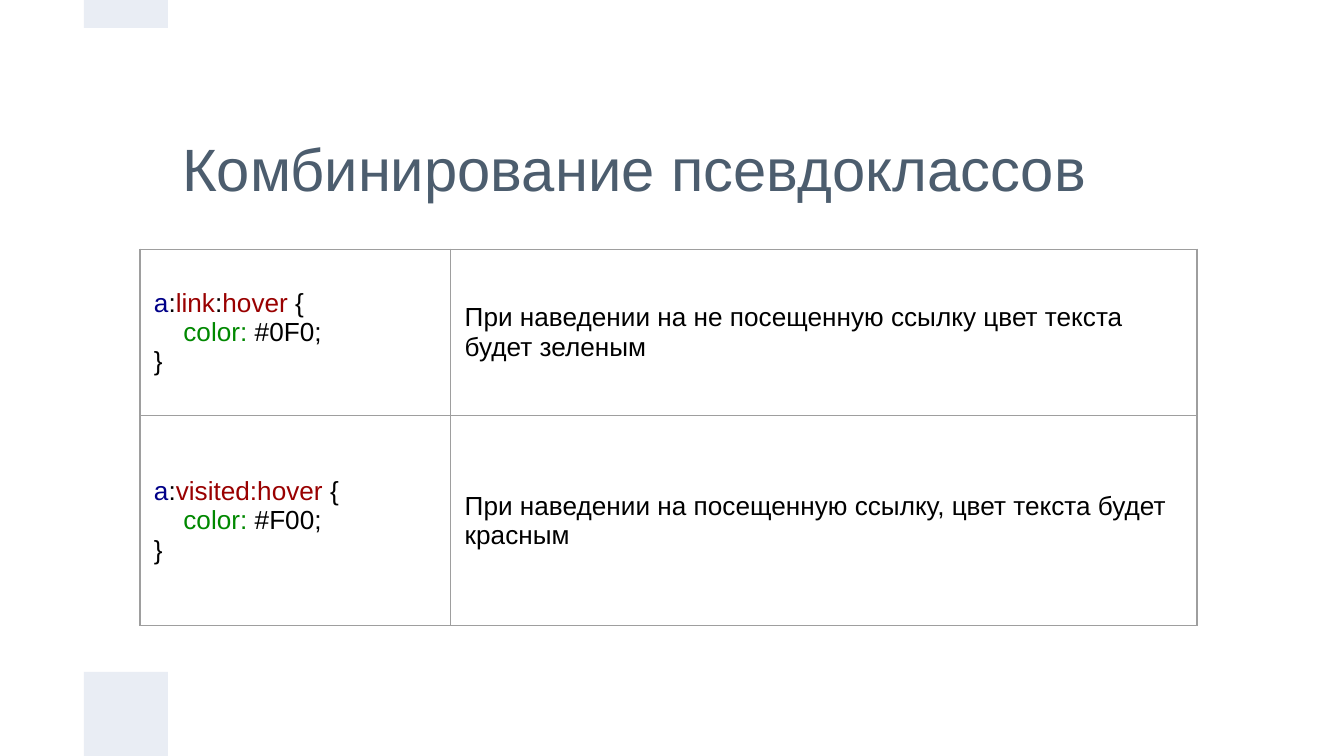
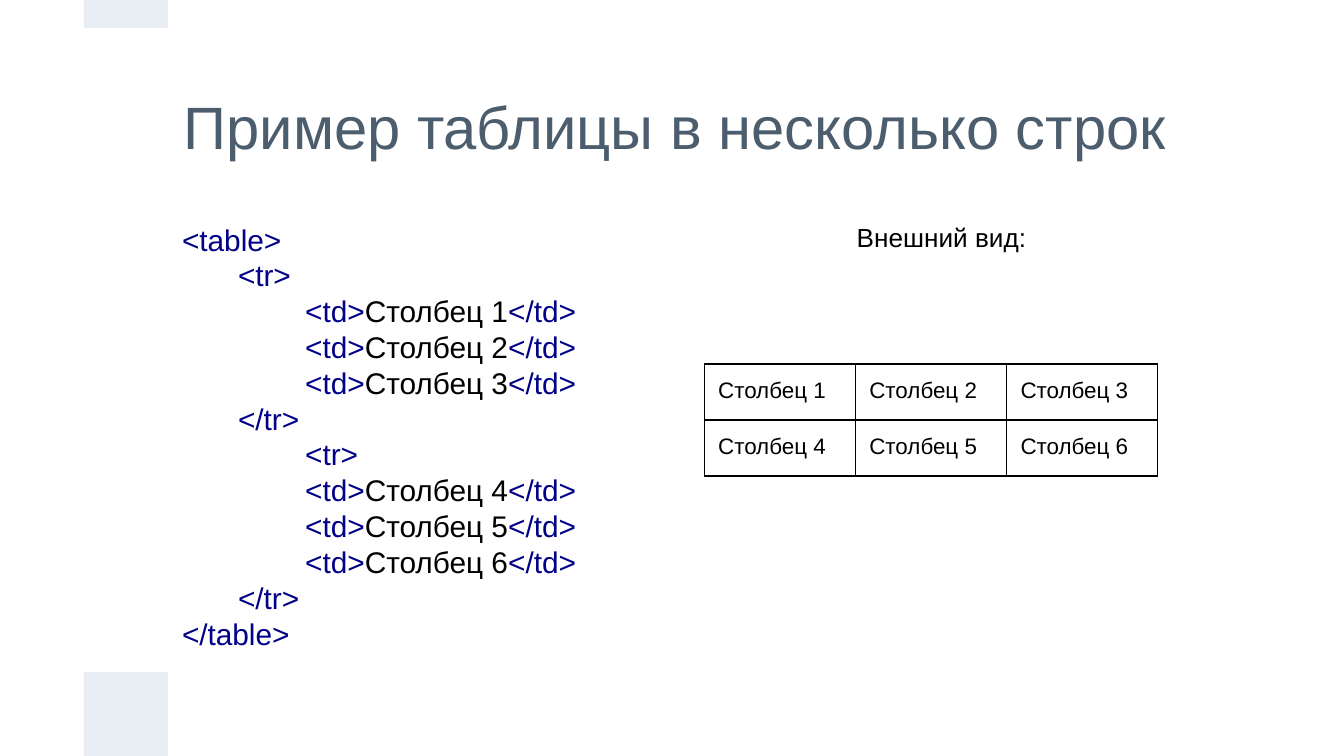
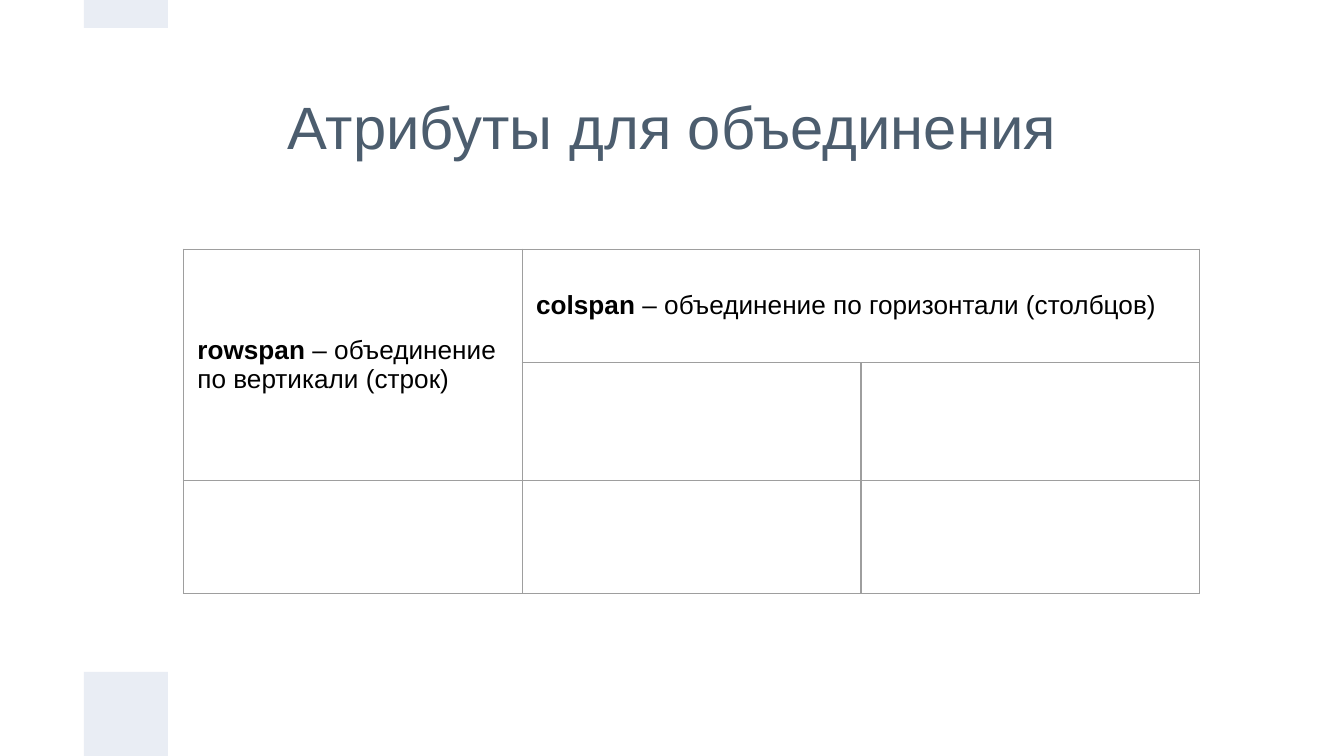
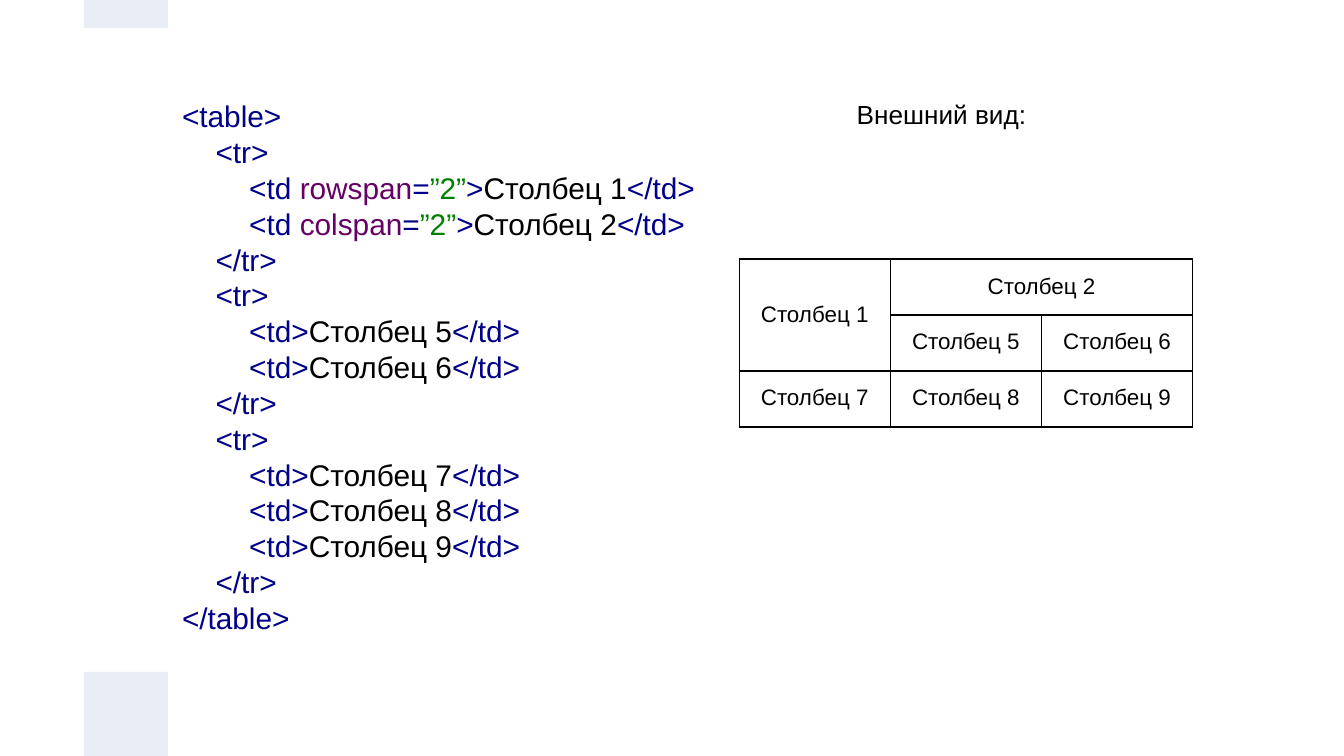
from dataclasses import dataclass

from lxml import etree
from pptx import Presentation
from pptx.dml.color import RGBColor
from pptx.enum import shapes, text
from pptx.oxml import ns
from pptx.util import Emu, Pt

PX = 9525
LEFT, CENTER = text.PP_ALIGN.LEFT, text.PP_ALIGN.CENTER
TOP, MIDDLE = text.MSO_ANCHOR.TOP, text.MSO_ANCHOR.MIDDLE


@dataclass(frozen=True)
class Theme:
    font: str = "Arial"
    heading: str = "4C5D6E"
    band: str = "E9EDF4"
    ink: str = "000000"
    tag: str = "000088"
    pseudo: str = "990000"
    prop: str = "008800"
    attribute: str = "660066"
    value: str = "008000"
    rule: str = "9E9E9E"
    title_size: int = 32
    code_size: int = 16
    text_size: int = 14
    small_size: int = 12
    code_pitch: float = 19.2
    rule_width: float = 0.75
    inset: int = 10


THEME = Theme()


@dataclass
class Span:
    text: str
    color: str = THEME.ink
    bold: bool = False


@dataclass
class Line:
    spans: list
    indent: int = 0


def px(length):
    return Emu(length * PX)


def tag(name, indent=0):
    return Line([Span(name, THEME.tag)], indent)


def cell_tag(label, indent, attribute=None):
    opening = [Span("<td>", THEME.tag)]
    if attribute:
        opening = [Span("<td ", THEME.tag), Span(attribute, THEME.attribute),
                   Span("=", THEME.tag), Span("”2”", THEME.value), Span(">", THEME.tag)]
    return Line(opening + [Span(label), Span("</td>", THEME.tag)], indent)


def plain(words, color=THEME.ink):
    return [Line([Span(words, color)])]


def column(number):
    return plain(f"Столбец {number}")


class Slides:
    def __init__(self, theme):
        self.theme = theme
        self.deck = Presentation()
        self.deck.slide_width, self.deck.slide_height = px(960), px(540)
        self.page = None

    def new_page(self, layout):
        self.page = self.deck.slides.add_slide(self.deck.slide_layouts.get_by_name(layout))
        for top, height in ((480, 60), (0, 20)):
            self.band(60, top, 60, height)

    def band(self, *place):
        band = self.page.shapes.add_shape(shapes.MSO_SHAPE.RECTANGLE, *map(px, place))
        band.shadow.inherit = False
        band.fill.solid()
        band.fill.fore_color.rgb = RGBColor.from_string(self.theme.band)
        band.line.fill.background()

    def set_lines(self, frame, lines, size, align=LEFT):
        for number, line in enumerate(lines):
            para = frame.add_paragraph() if number else frame.paragraphs[0]
            para.alignment = align
            para.font.name = self.theme.font
            para.font.size = Pt(size)
            if line.indent:
                para._p.get_or_add_pPr().set("marL", str(px(line.indent)))
            for part in line.spans:
                span = para.add_run()
                span.text = part.text
                span.font.color.rgb = RGBColor.from_string(part.color)
                if part.bold:
                    span.font.bold = True

    def fit(self, box, place, anchor):
        box.left, box.top, box.width, box.height = map(px, place)
        frame = box.text_frame
        frame.word_wrap = True
        frame.auto_size = text.MSO_AUTO_SIZE.NONE
        frame.vertical_anchor = anchor
        inset = px(self.theme.inset)
        frame.margin_left = frame.margin_top = frame.margin_right = frame.margin_bottom = inset
        return frame

    def title(self, words, place, align=CENTER):
        frame = self.fit(self.page.shapes.title, place, MIDDLE)
        self.set_lines(frame, plain(words, self.theme.heading), self.theme.title_size, align)

    def drop_title(self):
        title = self.page.shapes.title._element
        title.getparent().remove(title)

    def code(self, lines, place):
        frame = self.fit(self.page.placeholders[1], place, TOP)
        self.set_lines(frame, lines, self.theme.code_size)
        for para in frame.paragraphs:
            para.space_before = Pt(0)
            para.line_spacing = Pt(self.theme.code_pitch)
            properties = para._p.get_or_add_pPr()
            properties.set("marL", properties.get("marL", "0"))
            properties.set("indent", "0")
            no_bullet = etree.Element(ns.qn("a:buNone"))
            properties.find(ns.qn("a:defRPr")).addprevious(no_bullet)

    def caption(self, words, place):
        box = self.page.shapes.add_textbox(*map(px, place))
        self.set_lines(self.fit(box, place, TOP), plain(words), self.theme.text_size, CENTER)

    def border(self, cell, color):
        properties = cell._tc.get_or_add_tcPr()
        for position, side in enumerate(("lnL", "lnR", "lnT", "lnB")):
            edge = etree.Element(ns.qn(f"a:{side}"), w=str(Pt(self.theme.rule_width)))
            fill = etree.SubElement(edge, ns.qn("a:solidFill"))
            etree.SubElement(fill, ns.qn("a:srgbClr"), val=color)
            properties.insert(position, edge)

    def table(self, left, top, widths, heights, cells, size, color,
              align=LEFT, anchor=MIDDLE, merges=()):
        place = (left, top, sum(widths), sum(heights))
        table = self.page.shapes.add_table(len(heights), len(widths), *map(px, place)).table
        table.first_row = table.horz_banding = False
        for grid_column, width in zip(table.columns, widths):
            grid_column.width = px(width)
        for row, height in zip(table.rows, heights):
            row.height = px(height)
        for start, end in merges:
            table.cell(*start).merge(table.cell(*end))
        inset = px(self.theme.inset)
        for row, contents in enumerate(cells):
            for position, lines in enumerate(contents):
                cell = table.cell(row, position)
                cell.fill.background()
                self.border(cell, color)
                cell.margin_left = cell.margin_right = inset
                cell.margin_top = cell.margin_bottom = inset
                cell.vertical_anchor = MIDDLE if cell.is_merge_origin else anchor
                if lines:
                    self.set_lines(cell.text_frame, lines, size, align)


def rule_code(pseudo_spans, color_value):
    return [
        Line([Span("a", THEME.tag), Span(":"), *pseudo_spans, Span(" {")]),
        Line([Span("color:", THEME.prop), Span(f" {color_value};")], 21),
        Line([Span("}")]),
    ]


def pseudo_classes(slides):
    slides.new_page("Title Only")
    slides.title("Комбинирование псевдоклассов", (120, 60, 720, 120), LEFT)
    link = [Span("link", THEME.pseudo), Span(":"), Span("hover", THEME.pseudo)]
    visited = [Span("visited:hover", THEME.pseudo)]
    cells = [
        [rule_code(link, "#0F0"),
         plain("При наведении на не посещенную ссылку цвет текста будет зеленым")],
        [rule_code(visited, "#F00"),
         plain("При наведении на посещенную ссылку, цвет текста будет красным")],
    ]
    slides.table(100, 178, (222, 533), (119, 150), cells, THEME.text_size, THEME.rule)


def several_rows(slides):
    row_indent, cell_indent = 40, 88
    slides.new_page("Title and Content")
    slides.title("Пример таблицы в несколько строк", (113, 60, 739, 60))
    lines = [tag("<table>")]
    for first, opening_indent in ((1, row_indent), (4, cell_indent)):
        lines.append(tag("<tr>", opening_indent))
        lines += [cell_tag(f"Столбец {number}", cell_indent)
                  for number in range(first, first + 3)]
        lines.append(tag("</tr>", row_indent))
    lines.append(tag("</table>"))
    slides.code(lines, (120, 148, 360, 332))
    slides.caption("Внешний вид:", (503, 148, 339, 327))
    cells = [[column(first + step) for step in range(3)] for first in (1, 4)]
    slides.table(503, 260, [108] * 3, [40] * 2, cells,
                 THEME.small_size, THEME.ink, anchor=TOP)


SPANNED = (((0, 0), (1, 0)), ((0, 1), (0, 2)))


def span_attributes(slides):
    slides.new_page("Title Only")
    slides.title("Атрибуты для объединения", (120, 64, 720, 52))
    rowspan, colspan = (
        [Line([Span(name, bold=True), Span(meaning)])]
        for name, meaning in (
            ("rowspan", " – объединение по вертикали (строк)"),
            ("colspan", " – объединение по горизонтали (столбцов)"),
        )
    )
    cells = [[rowspan, colspan, None], [None] * 3, [None] * 3]
    slides.table(131, 178, [242] * 3, (81, 84, 81), cells,
                 THEME.text_size, THEME.rule, merges=SPANNED)


def spanned_example(slides):
    step = 24
    slides.new_page("Title and Content")
    slides.drop_title()
    rows = (
        ((1, "rowspan"), (2, "colspan")),
        ((5, None), (6, None)),
        ((7, None), (8, None), (9, None)),
    )
    lines = [tag("<table>")]
    for row in rows:
        lines.append(tag("<tr>", step))
        lines += [cell_tag(f"Столбец {number}", 2 * step, attribute)
                  for number, attribute in row]
        lines.append(tag("</tr>", step))
    lines.append(tag("</table>"))
    slides.code(lines, (120, 60, 398, 420))
    slides.caption("Внешний вид:", (503, 60, 339, 416))
    cells = [
        [column(1), column(2), None],
        [None, column(5), column(6)],
        [column(7), column(8), column(9)],
    ]
    slides.table(528, 185, [108] * 3, [40] * 3, cells, THEME.small_size, THEME.ink,
                 align=CENTER, anchor=TOP, merges=SPANNED)


def main():
    slides = Slides(THEME)
    for build in (pseudo_classes, several_rows, span_attributes, spanned_example):
        build(slides)
    slides.deck.save("out.pptx")


if __name__ == "__main__":
    main()
